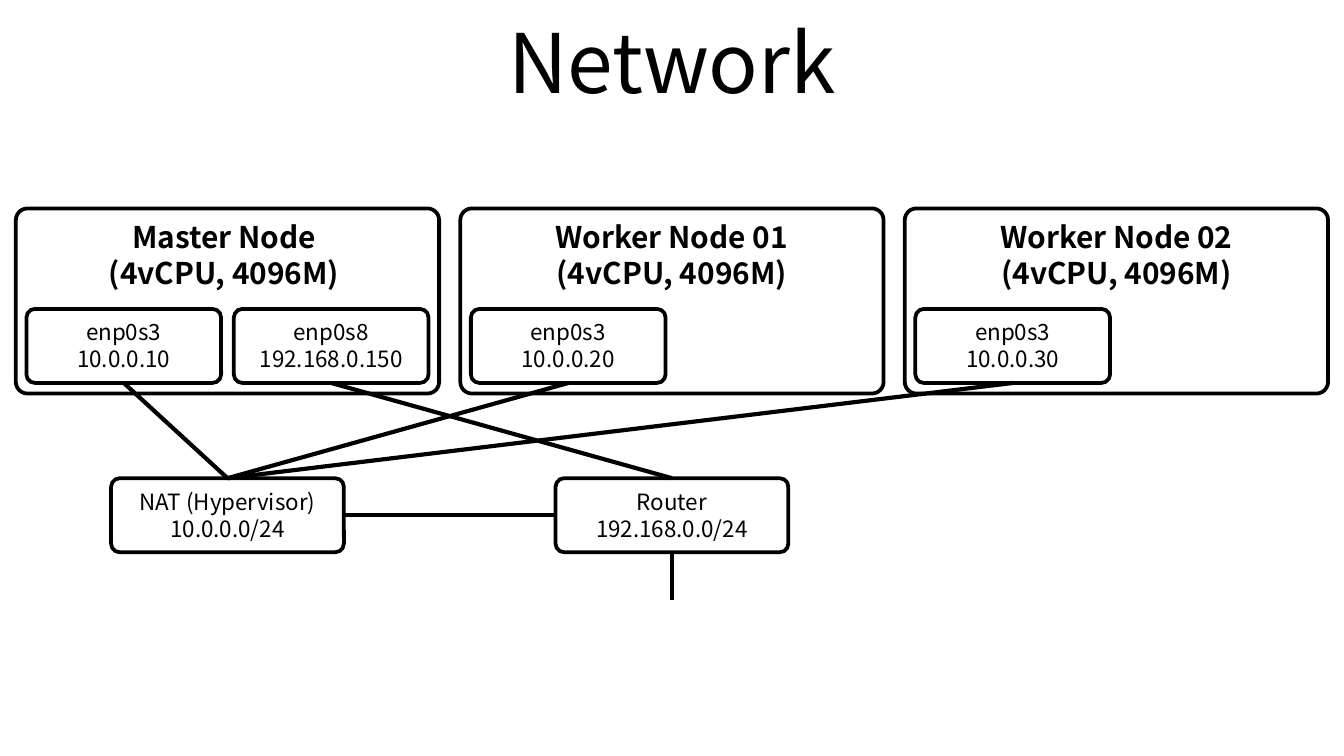
from pptx import Presentation
from pptx.dml.color import RGBColor
from pptx.enum.shapes import MSO_CONNECTOR, MSO_SHAPE
from pptx.enum.text import MSO_ANCHOR, MSO_AUTO_SIZE, PP_ALIGN
from pptx.oxml.ns import qn
from pptx.util import Cm, Pt
from lxml import etree

INK = "000000"
STEP = 8.4  # distance between neighbouring columns, cm


def paint(color_format, value):
    color_format.rgb = RGBColor.from_string(value)


def add_box(left, top, width, height, adj, lines, size, bold, anchor):
    sp = s.shapes.add_shape(MSO_SHAPE.ROUNDED_RECTANGLE,
                            Cm(left), Cm(top), Cm(width), Cm(height))
    sp.adjustments[0] = adj
    sp.shadow.inherit = False
    sp.fill.background()
    sp.line.width = Pt(2)
    paint(sp.line.color, INK)
    tf = sp.text_frame
    tf.text = "\n".join(lines)
    tf.vertical_anchor = anchor
    for p in tf.paragraphs:
        p.alignment = PP_ALIGN.CENTER
        font = {"name": "Noto Sans CJK KR", "size": Pt(size), "bold": bold}
        for key, value in font.items():
            setattr(p.runs[0].font, key, value)
        paint(p.runs[0].font.color, INK)
    return sp


prs = Presentation()
prs.slide_width, prs.slide_height = Cm(25.4), Cm(14.29)
s = prs.slides.add_slide(prs.slide_layouts[5])

# Title
title = s.shapes.title
box = {"left": Cm(1.27), "top": Cm(-0.05), "width": Cm(22.86), "height": Cm(2.38)}
for key, value in box.items():
    setattr(title, key, value)
tf = title.text_frame
tf.text = "Network"
tf.auto_size = MSO_AUTO_SIZE.NONE
tf.vertical_anchor = MSO_ANCHOR.MIDDLE
p = tf.paragraphs[0]
p.alignment = PP_ALIGN.CENTER
for key, value in {"name": "Noto Sans CJK KR", "size": Pt(44)}.items():
    setattr(p.runs[0].font, key, value)
paint(p.runs[0].font.color, INK)

# Nodes with their network interfaces
nodes = [
    (["Master Node ", "(4vCPU, 4096M) "],
     [("enp0s3", "10.0.0.10"), ("enp0s8", "192.168.0.150")]),
    (["Worker Node 01", "(4vCPU, 4096M)"], [("enp0s3", "10.0.0.20")]),
    (["Worker Node 02", "(4vCPU, 4096M)"], [("enp0s3", "10.0.0.30")]),
]
nics = []
for col, (label, interfaces) in enumerate(nodes):
    left = 0.3 + col * STEP
    add_box(left, 3.94, 8, 3.5, 0.063, label, 16, True, MSO_ANCHOR.TOP)
    for i, lines in enumerate(interfaces):
        nics.append(add_box(left + 0.2 + i * 3.92, 5.84, 3.68, 1.4, 0.116,
                            lines, 12, False, MSO_ANCHOR.TOP))

# NAT and router
nat, router = [
    add_box(2.1 + col * STEP, 9.04, 4.4, 1.4, 0.116, lines, 12, False,
            MSO_ANCHOR.MIDDLE)
    for col, lines in enumerate([("NAT (Hypervisor)", "10.0.0.0/24"),
                                 ("Router", "192.168.0.0/24")])
]

# Links: (start box, side, end box, side); the uplink starts in free space
master_nat, master_router, worker1, worker2 = nics
links = [
    (master_nat, 2, nat, 0),
    (worker1, 2, nat, 0),
    (router, 1, nat, 3),
    (None, None, router, 2),
    (router, 0, master_router, 2),
    (worker2, 2, nat, 0),
]
for start, start_side, end, end_side in links:
    line = s.shapes.add_connector(MSO_CONNECTOR.STRAIGHT,
                                  Cm(12.7), Cm(11.35), Cm(12.7), Cm(10.44))
    if start is not None:
        line.begin_connect(start, start_side)
    line.end_connect(end, end_side)
    line.line.width = Pt(2.25)
    paint(line.line.color, INK)
    etree.SubElement(line._element.spPr, qn("a:effectLst"))

prs.save("out.pptx")
